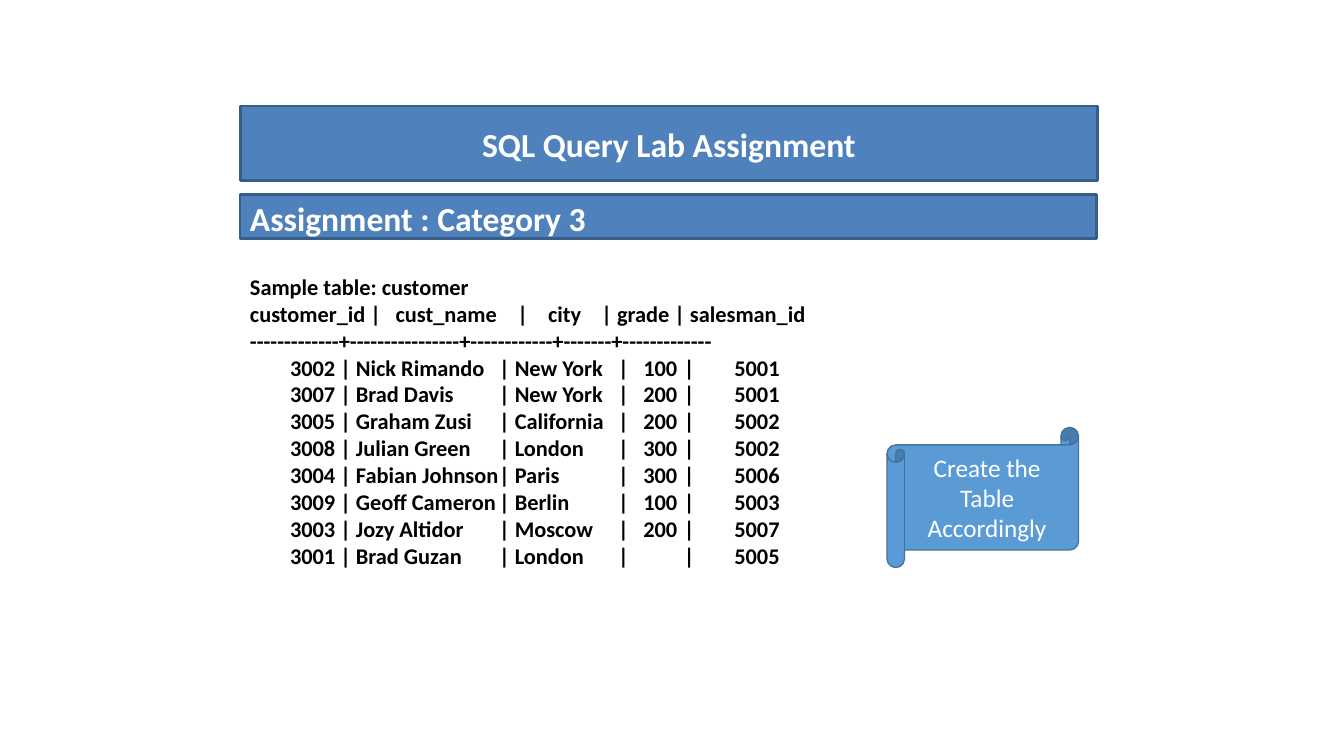
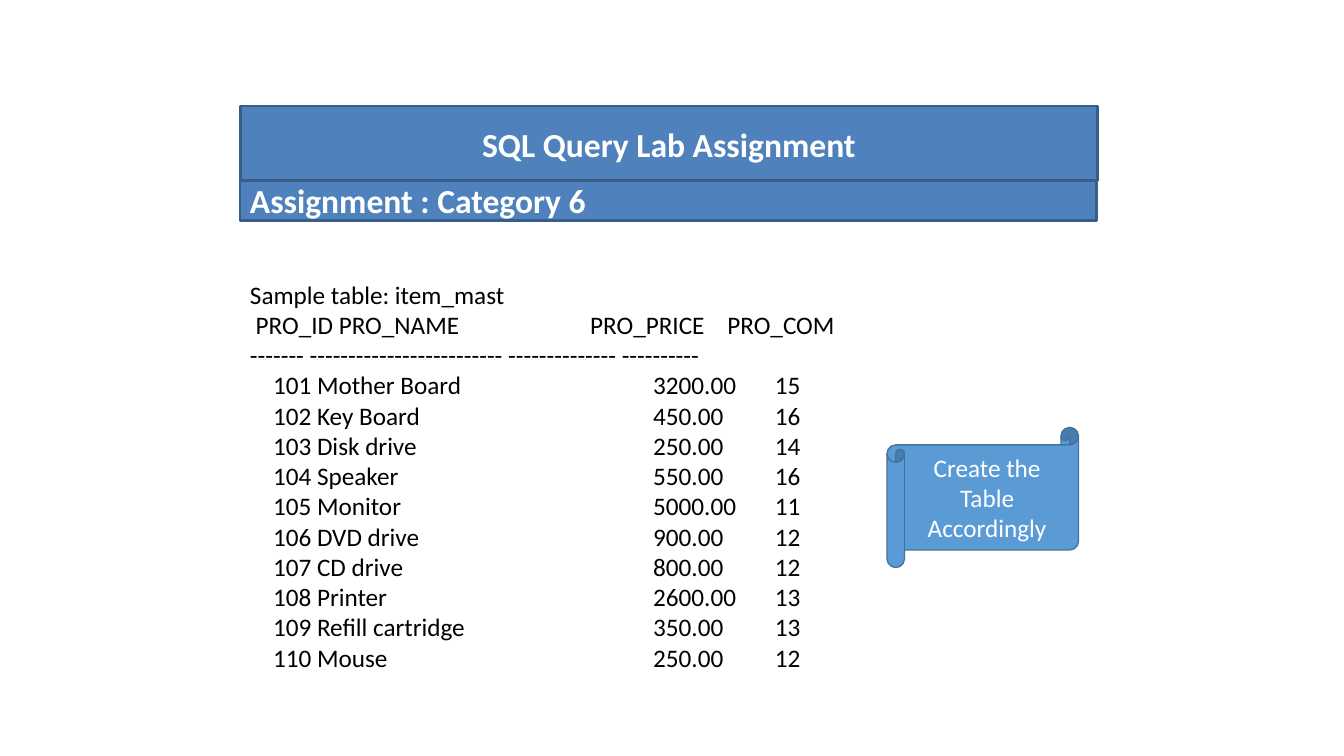
from dataclasses import dataclass

from lxml import etree
from pptx import Presentation
from pptx.dml.color import RGBColor
from pptx.enum import shapes as kinds, text as txt
from pptx.oxml import ns
from pptx.util import Pt


@dataclass(frozen=True)
class Theme:
    """Colours, font and type sizes shared by the slides."""
    font: str = "Calibri"
    band: str = "4F81BC"
    band_line: str = "385D89"
    scroll: str = "5B9BD5"
    scroll_line: str = "43739E"
    light: str = "FFFFFF"
    dark: str = "000000"
    heading_size: int = 24
    scroll_size: int = 18


theme = Theme()


def add_panel(slide, kind, box, fill, line, line_width):
    """Add a filled, outlined shape without shadow."""
    panel = slide.shapes.add_shape(kind, *map(Pt, box))
    panel.shadow.inherit = False
    panel.fill.solid()
    panel.fill.fore_color.rgb = RGBColor.from_string(fill)
    panel.line.color.rgb = RGBColor.from_string(line)
    panel.line.width = Pt(line_width)
    return panel


def write_line(paragraph, words, size, color, bold=False, align=txt.PP_ALIGN.LEFT, stops=()):
    """Fill a paragraph with text in one font, with tab stops in points."""
    paragraph.text = words
    paragraph.alignment = align
    if stops:
        properties = paragraph._p.get_or_add_pPr()
        tabs = etree.SubElement(properties, ns.qn("a:tabLst"))
        for stop in stops:
            etree.SubElement(tabs, ns.qn("a:tab"), pos=str(int(Pt(stop))), algn="l")
    font = paragraph.font
    font.name, font.size, font.bold = theme.font, Pt(size), bold
    font.color.rgb = RGBColor.from_string(color)


customers = [
    (3002, "Nick Rimando", "New York", 100, 5001),
    (3007, "Brad Davis", "New York", 200, 5001),
    (3005, "Graham Zusi", "California", 200, 5002),
    (3008, "Julian Green", "London", 300, 5002),
    (3004, "Fabian Johnson", "Paris", 300, 5006),
    (3009, "Geoff Cameron", "Berlin", 100, 5003),
    (3003, "Jozy Altidor", "Moscow", 200, 5007),
    (3001, "Brad Guzan", "London", "", 5005),
]
items = [
    (101, "Mother Board", 3200, 15),
    (102, "Key Board", 450, 16),
    (103, "Disk drive", 250, 14),
    (104, "Speaker", 550, 16),
    (105, "Monitor", 5000, 11),
    (106, "DVD drive", 900, 12),
    (107, "CD drive", 800, 12),
    (108, "Printer", 2600, 13),
    (109, "Refill cartridge", 350, 13),
    (110, "Mouse", 250, 12),
]
assignments = [
    dict(
        category=3, category_top=138.9, sample_top=191.5, sample_height=220.3,
        size=16, bold=True, name="customer",
        header="customer_id |\tcust_name\t|\tcity\t| grade | salesman_id",
        header_stops=(104, 191, 213, 251),
        rule="-------------+----------------+------------+-------+-------------",
        rows=["\t{} | {}\t| {}\t|\t{}\t|\t{}".format(*row) for row in customers],
        row_stops=(28.6, 178, 263, 281, 310, 346),
    ),
    dict(
        category=6, category_top=126, sample_top=195.8, sample_height=290.9,
        size=18, bold=False, name="item_mast",
        header=" PRO_ID PRO_NAME\tPRO_PRICE\tPRO_COM",
        header_stops=(243, 341),
        rule="------- ------------------------- -------------- ----------",
        rows=["\t{} {}\t{:.2f}\t{}".format(*row) for row in items],
        row_stops=(16.5, 288, 375),
    ),
]

deck = Presentation()
deck.slide_width, deck.slide_height = Pt(960), Pt(540)
left, width = 171.5, 612

for task in assignments:
    slide = deck.slides.add_slide(deck.slide_layouts[6])

    category = add_panel(slide, kinds.MSO_SHAPE.RECTANGLE,
                         (left, task["category_top"], width, 31.7),
                         theme.band, theme.band_line, 2).text_frame
    category.margin_left, category.margin_top = Pt(7.2), Pt(2.2)
    category.margin_right = category.margin_bottom = 0
    category.vertical_anchor = txt.MSO_ANCHOR.TOP
    category.paragraphs[0].space_before = Pt(2.5)
    write_line(category.paragraphs[0], f"Assignment : Category {task['category']}",
               theme.heading_size, theme.light, bold=True)

    title = add_panel(slide, kinds.MSO_SHAPE.RECTANGLE, (left + 0.4, 75.8, width, 53.4),
                      theme.band, theme.band_line, 2).text_frame
    title.margin_left = title.margin_top = title.margin_right = title.margin_bottom = 0
    title.vertical_anchor = txt.MSO_ANCHOR.MIDDLE
    title.paragraphs[0].line_spacing = Pt(29.2)
    write_line(title.paragraphs[0], "SQL Query Lab Assignment", theme.heading_size,
               theme.light, bold=True, align=txt.PP_ALIGN.CENTER)

    sample = slide.shapes.add_textbox(
        Pt(left), Pt(task["sample_top"]), Pt(width), Pt(task["sample_height"])).text_frame
    sample.word_wrap = True
    lines = [(f"Sample table: {task['name']}", ()),
             (task["header"], task["header_stops"]),
             (task["rule"], ())]
    lines += [(row, task["row_stops"]) for row in task["rows"]]
    for number, (words, stops) in enumerate(lines):
        paragraph = sample.add_paragraph() if number else sample.paragraphs[0]
        write_line(paragraph, words, task["size"], theme.dark, task["bold"], stops=stops)

    instruction = add_panel(slide, kinds.MSO_SHAPE.HORIZONTAL_SCROLL,
                            (633.6, 305.3, 136.8, 100.1),
                            theme.scroll, theme.scroll_line, 1).text_frame
    instruction.word_wrap = True
    instruction.vertical_anchor = txt.MSO_ANCHOR.MIDDLE
    write_line(instruction.paragraphs[0], "Create the Table Accordingly",
               theme.scroll_size, theme.light, align=txt.PP_ALIGN.CENTER)

deck.save("out.pptx")
